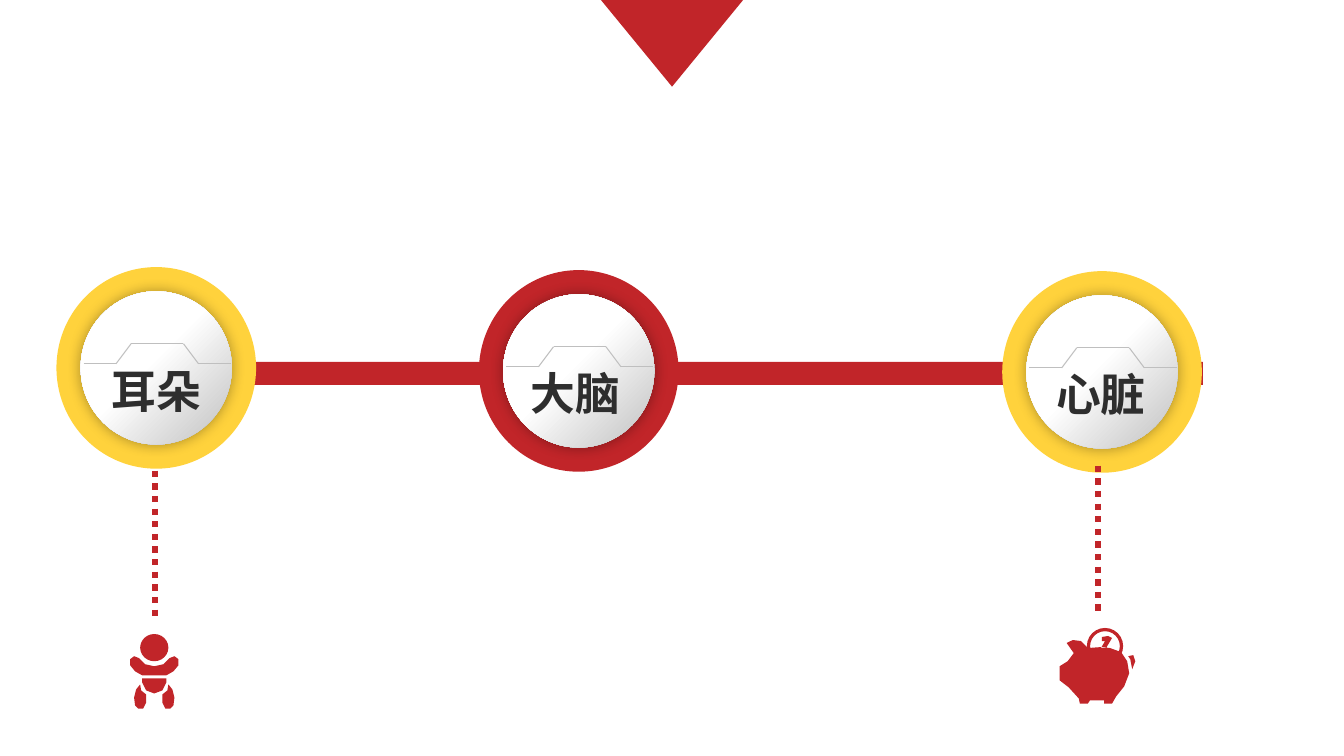
"""Build a slide linking ear, brain and heart along a red bar."""
from itertools import pairwise

from lxml import etree
from pptx import Presentation
from pptx.dml.color import RGBColor
from pptx.enum.dml import MSO_LINE
from pptx.enum.shapes import MSO_CONNECTOR, MSO_SHAPE
from pptx.enum.text import MSO_AUTO_SIZE, PP_ALIGN
from pptx.oxml.ns import qn
from pptx.util import Pt

PX = 9144
RECTANGLE, OVAL, DONUT = MSO_SHAPE.RECTANGLE, MSO_SHAPE.OVAL, MSO_SHAPE.DONUT
TRIANGLE = MSO_SHAPE.ISOSCELES_TRIANGLE
STRAIGHT = MSO_CONNECTOR.STRAIGHT
DOTTED = MSO_LINE.ROUND_DOT
CENTER = PP_ALIGN.CENTER
GROW = MSO_AUTO_SIZE.SHAPE_TO_FIT_TEXT

RED = RGBColor(0xC1, 0x25, 0x29)
YELLOW = RGBColor(0xFF, 0xD2, 0x3C)
GREY = RGBColor(0xBF, 0xBF, 0xBF)
WHITE = RGBColor(0xFF, 0xFF, 0xFF)
INK = RGBColor(0x2E, 0x2E, 0x2E)

NOTCH = [(27, 96), (59, 96), (74, 76), (126, 76), (141, 96), (173, 96)]

ORGANS = [
    ("耳朵", YELLOW, 56, 265, 87, 356),
    ("大脑", RED, 475, 268, 503, 358),
    ("心脏", YELLOW, 994, 269, 1024, 359),
]

BABY_AXIS = 153
ARM = [(0, 661), (9, 659), (15, 653), (20, 651), (24, 654), (24, 660), (19, 666), (12, 670)]
NAPPY = [(0, 673), (12, 673), (12, 677), (8, 685), (0, 688)]
LEG = [(8, 689), (8, 697), (11, 703), (16, 703), (19, 700), (20, 692), (18, 684), (14, 679),
       (13, 685)]

PIG_BODY = [
    (1079, 643), (1072, 636), (1064, 635), (1058, 638), (1065, 648), (1059, 656),
    (1051, 661), (1051, 675), (1060, 682), (1070, 693), (1071, 698), (1079, 698),
    (1081, 695), (1095, 695), (1095, 698), (1103, 698), (1107, 691), (1115, 681),
    (1120, 668), (1118, 656), (1112, 647), (1101, 643), (1092, 642),
]
PIG_TAIL = [(1119, 651), (1124, 650), (1126, 656), (1123, 664), (1121, 654)]
COIN_DIGIT = [(1093, 632), (1099, 631), (1103, 633), (1097, 643), (1092, 643),
              (1096, 636), (1093, 636)]


def write_text(text, left, top, width, height, size, color):
    box = slide.shapes.add_textbox(left * PX, top * PX, width * PX, height * PX)
    frame = box.text_frame
    frame.word_wrap = True
    frame.auto_size = GROW
    paragraph = frame.paragraphs[0]
    paragraph.text = text
    paragraph.alignment = CENTER
    font = paragraph.runs[0].font
    font.name, font.size, font.bold = "Arial", Pt(size), True
    font.color.rgb = color


def draw_line(shapes, start, end, color, width):
    connector = shapes.add_connector(STRAIGHT, *(value * PX for value in start + end))
    connector.line.color.rgb = color
    connector.line.width = Pt(width)
    etree.SubElement(connector._element.spPr, qn("a:effectLst"))
    return connector


prs = Presentation()
prs.slide_width, prs.slide_height = 1333 * PX, 750 * PX
slide = prs.slides.add_slide(prs.slide_layouts[6])

bar = slide.shapes.add_shape(RECTANGLE, 60 * PX, 359 * PX, 1133 * PX, 23 * PX)
solid_parts = [(bar, RED)]

for name, ring_color, left, top, label_left, label_top in ORGANS:
    badge = slide.shapes.add_group_shape().shapes
    ring = badge.add_shape(OVAL, left * PX, top * PX, 198 * PX, 200 * PX)
    solid_parts.append((ring, ring_color))

    disc = badge.add_shape(OVAL, (left + 24) * PX, (top + 24) * PX, 150 * PX, 152 * PX)
    disc.line.fill.background()
    disc.fill.gradient()
    disc.fill.gradient_angle = 135
    for stop, color, position in zip(disc.fill.gradient_stops, (GREY, WHITE), (0, 0.54)):
        stop.color.rgb = color
        stop.position = position
    disc.shadow.inherit = False
    effects = disc._element.spPr.find(qn("a:effectLst"))
    glow = etree.SubElement(effects, qn("a:outerShdw"), blurRad=str(Pt(10)), dist="0",
                            algn="ctr", rotWithShape="0")
    black = etree.SubElement(glow, qn("a:srgbClr"), val="000000")
    etree.SubElement(black, qn("a:alpha"), val="35000")

    for start, end in pairwise((left + x, top + y) for x, y in NOTCH):
        draw_line(badge, start, end, GREY, 0.75)
    write_text(name, label_left, label_top, 136, 64, size=32, color=INK)

for x, top in ((154, 467), (1089, 462)):
    stem = draw_line(slide.shapes, (x, top), (x, top + 145), RED, 4.5)
    stem.line.dash_style = DOTTED

pointer = slide.shapes.add_shape(TRIANGLE, 596 * PX, 0, 141 * PX, 86 * PX)
pointer.rotation = 180
head = slide.shapes.add_shape(OVAL, 139 * PX, 629 * PX, 28 * PX, 27 * PX)
coin = slide.shapes.add_shape(DONUT, 1078 * PX, 623 * PX, 36 * PX, 36 * PX)
coin.adjustments[0] = 0.09
solid_parts += [(pointer, RED), (head, RED), (coin, RED)]

right_leg, left_leg = ([(BABY_AXIS + side * x, y) for x, y in LEG] for side in (1, -1))
arms, nappy = (
    [(BABY_AXIS + x, y) for x, y in half] + [(BABY_AXIS - x, y) for x, y in reversed(half)]
    for half in (ARM, NAPPY)
)

for contours in ((arms, nappy, left_leg, right_leg), (PIG_BODY, PIG_TAIL, COIN_DIGIT)):
    outline = slide.shapes.build_freeform(*contours[0][0], scale=PX)
    for contour in contours:
        outline.move_to(*contour[0])
        outline.add_line_segments(contour[1:], close=True)
    solid_parts.append((outline.convert_to_shape(), RED))

for part, color in solid_parts:
    part.fill.solid()
    part.fill.fore_color.rgb = color
    part.line.fill.background()
    part.shadow.inherit = False

prs.save("out.pptx")
